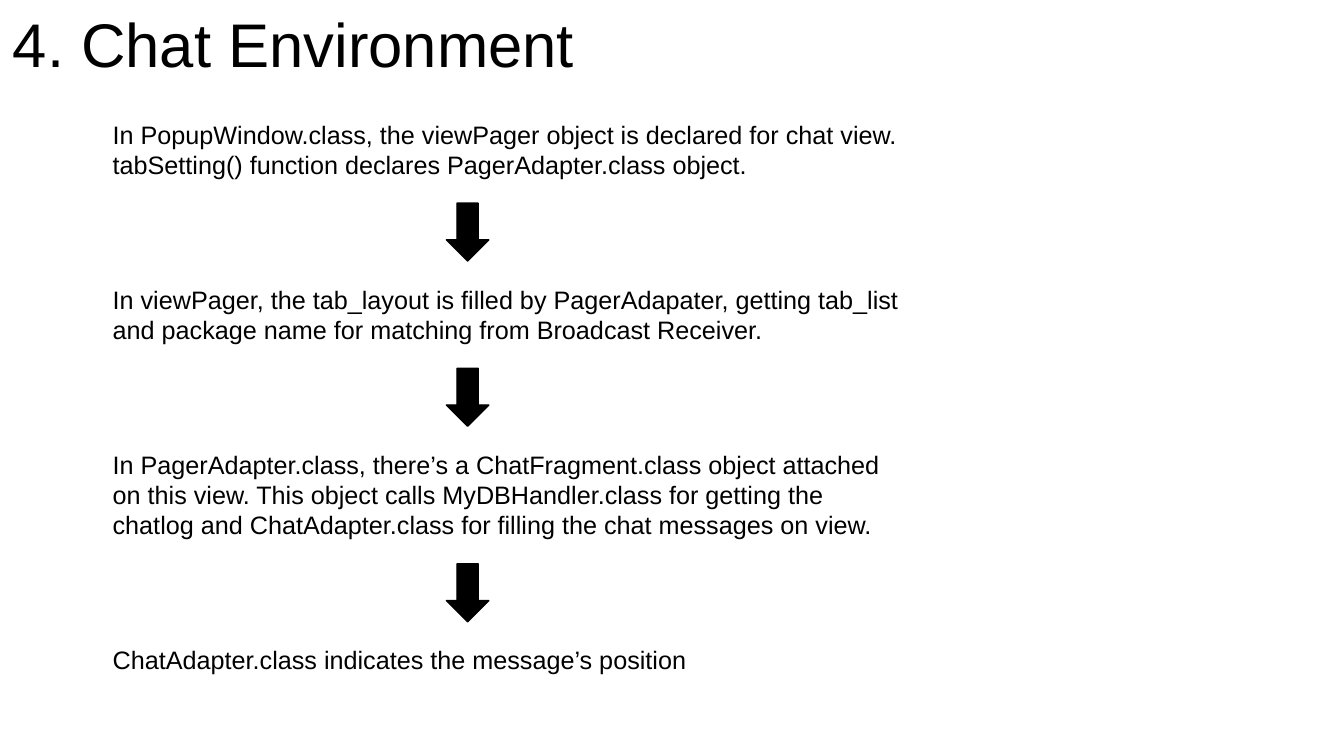
from pptx import Presentation
from pptx.dml.color import RGBColor
from pptx.enum.shapes import MSO_SHAPE as Shape
from pptx.enum.text import MSO_ANCHOR as Anchor, MSO_AUTO_SIZE as AutoSize, PP_ALIGN as Align
from pptx.util import Cm, Pt

COLORS = {"ink": "000000", "paper": "FFFFFF"}

# Paragraphs of each step and the height of its box in cm
STEPS = [
    (["In PopupWindow.class, the viewPager object is declared for chat view.",
      "tabSetting() function declares PagerAdapter.class object."], 1.8),
    (["In viewPager, the tab_layout is filled by PagerAdapater, getting tab_list "
      "and package name for matching from Broadcast Receiver."], 1.8),
    (["In PagerAdapter.class, there’s a ChatFragment.class object attached on this view. "
      "This object calls MyDBHandler.class for getting the chatlog and "
      "ChatAdapter.class for filling the chat messages on view."], 2.57),
    (["ChatAdapter.class indicates the message’s position"], 1.02),
]


def rgb(name):
    return RGBColor.from_string(COLORS[name])


def write(tf, paragraphs, size=18, font="Arial", color="ink", align=Align.LEFT,
          anchor=Anchor.TOP, wrap=True):
    tf.word_wrap = wrap
    tf.auto_size = AutoSize.NONE
    tf.vertical_anchor = anchor
    for i, text in enumerate(paragraphs):
        p = tf.add_paragraph() if i else tf.paragraphs[0]
        p.alignment = align
        r = p.add_run()
        r.text = text
        r.font.size = Pt(size)
        r.font.name = font
        r.font.color.rgb = rgb(color)


class FlowSlide:
    """Title-only slide with a column of texts joined by arrows; lengths in cm."""
    left, width = 2.59, 20.52
    arrow_left, arrow_width, arrow_height = 11.25, 1.07, 1.46
    gap = 0.45

    def __init__(self, prs):
        self.s = prs.slides.add_slide(prs.slide_layouts[5])
        fill = self.s.background.fill
        fill.solid()
        fill.fore_color.rgb = rgb("paper")

    def title(self, text, width, height):
        sp = self.s.shapes.title
        sp.left, sp.top, sp.width, sp.height = Cm(0), Cm(0), Cm(width), Cm(height)
        write(sp.text_frame, [text], size=44, align=Align.CENTER,
              anchor=Anchor.BOTTOM, wrap=False)

    def text(self, paragraphs, top, height):
        sp = self.s.shapes.add_textbox(Cm(self.left), Cm(top), Cm(self.width), Cm(height))
        write(sp.text_frame, paragraphs)

    def arrow(self, top):
        sp = self.s.shapes.add_shape(Shape.DOWN_ARROW, Cm(self.arrow_left), Cm(top),
                                     Cm(self.arrow_width), Cm(self.arrow_height))
        sp.shadow.inherit = False
        sp.fill.solid()
        sp.fill.fore_color.rgb = rgb("ink")
        sp.line.color.rgb = rgb("ink")
        sp.line.width = Pt(1)

    def flow(self, steps, top):
        for i, (paragraphs, height) in enumerate(steps):
            if i:
                self.arrow(top + self.gap)
                top += self.arrow_height + 2 * self.gap
            self.text(paragraphs, top, height)
            top += height


def main():
    prs = Presentation()
    prs.slide_width, prs.slide_height = Cm(33.87), Cm(19.05)
    slide = FlowSlide(prs)
    slide.title("4. Chat Environment", width=14.81, height=2.13)
    slide.flow(STEPS, top=2.87)
    prs.save("out.pptx")


if __name__ == "__main__":
    main()
